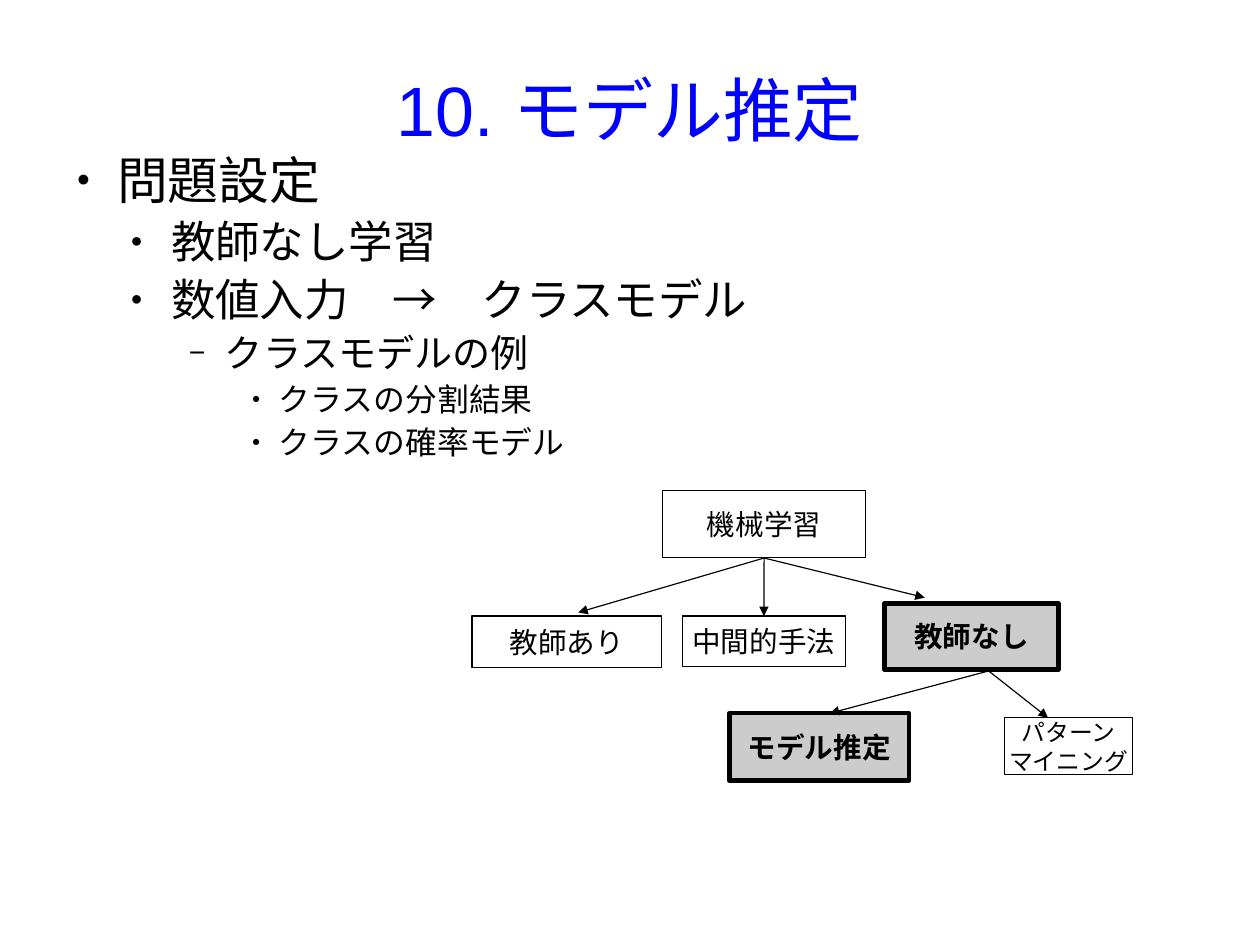
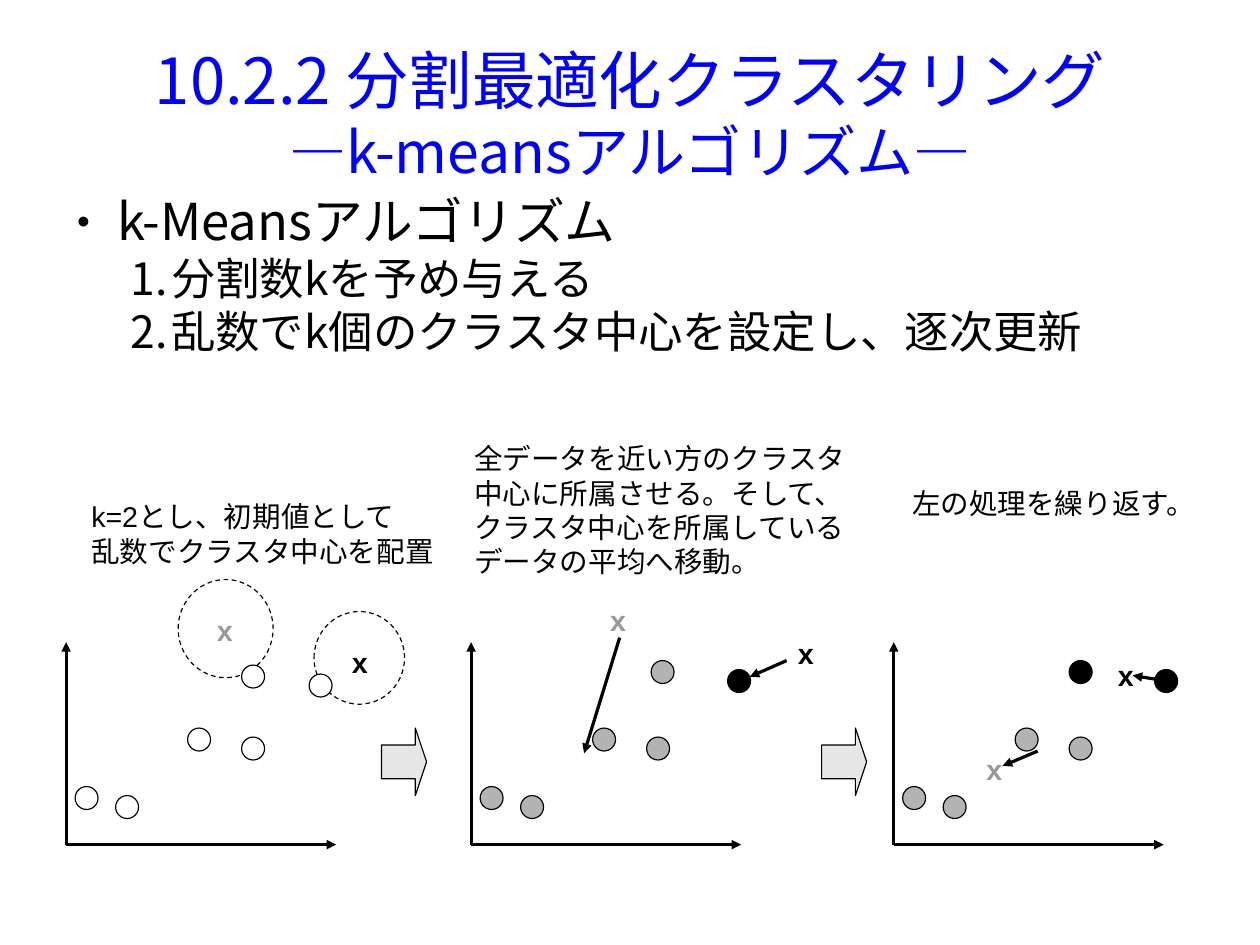
from lxml.etree import SubElement
from pptx import Presentation
from pptx.dml.color import RGBColor
from pptx.enum.dml import MSO_LINE
from pptx.enum.shapes import MSO_CONNECTOR, MSO_SHAPE
from pptx.enum.text import MSO_ANCHOR, MSO_AUTO_SIZE, PP_ALIGN
from pptx.oxml.ns import qn
from pptx.util import Cm, Pt

BLACK, WHITE, BLUE = "000000", "FFFFFF", "0000FF"
HIGHLIGHT, CLUSTER, STEP, MARK = "CCCCCC", "B3B3B3", "E6E6E6", "999999"
LATIN, JAPANESE = "Arial", "Noto Sans CJK JP"
color = RGBColor.from_string


def write(paragraph, text, size, tint=BLACK, font=LATIN, bold=False):
    run = paragraph.add_run()
    run.text = text
    run.font.size = Pt(size)
    run.font.bold = bold
    run.font.color.rgb = color(tint)
    run.font.name = font
    SubElement(run.font._element, qn("a:ea"), typeface=JAPANESE)


def draw_arrow(slide, start, end, width):
    arrow = slide.shapes.add_connector(
        MSO_CONNECTOR.STRAIGHT, *[Cm(n) for n in (*start, *end)])
    arrow.line.color.rgb = color(BLACK)
    arrow.line.width = Pt(width)
    SubElement(arrow.line._get_or_add_ln(), qn("a:tailEnd"), type="triangle")
    SubElement(arrow._element.spPr, qn("a:effectLst"))
    return arrow


deck = Presentation()
deck.slide_width, deck.slide_height = Cm(28), Cm(21)

levels = [
    (32, 1.2, -0.9, "●", 45),
    (28, 2.4, -0.9, "●", 45),
    (24, 3.6, -0.8, "−", 75),
    (20, 4.8, -0.6, "●", 45),
]
outlines = [
    {
        "title": [("10. モデル推定", 44)],
        "title_box": (1.4, 1, 25.2, 2.84),
        "title_spacing": None,
        "body": [
            (0, "問題設定"),
            (1, "教師なし学習"),
            (1, "数値入力　→　クラスモデル"),
            (2, "クラスモデルの例"),
            (3, "クラスの分割結果"),
            (3, "クラスの確率モデル"),
        ],
        "body_box": (1.4, 3.3, 25.2, 12.2),
        "font": LATIN,
        "gap": 2.8,
        "numbered": False,
    },
    {
        "title": [("10.2.2 分割最適化クラスタリング", 40), ("―k-meansアルゴリズム―", 36)],
        "title_box": (1.4, 0.48, 25.2, 4.24),
        "title_spacing": Pt(42.5),
        "body": [
            (0, "k-Meansアルゴリズム"),
            (1, "分割数kを予め与える"),
            (1, "乱数でk個のクラスタ中心を設定し、逐次更新"),
        ],
        "body_box": (1.4, 4.22, 24.4, 12.2),
        "font": JAPANESE,
        "gap": 0,
        "numbered": True,
    },
]

for outline in outlines:
    slide = deck.slides.add_slide(deck.slide_layouts[1])
    title, body = slide.shapes.title, slide.placeholders[1]
    for holder, box, anchor in (
        (title, outline["title_box"], MSO_ANCHOR.MIDDLE),
        (body, outline["body_box"], MSO_ANCHOR.TOP),
    ):
        holder.left, holder.top, holder.width, holder.height = [Cm(n) for n in box]
        frame = holder.text_frame
        frame.auto_size = MSO_AUTO_SIZE.NONE
        frame.vertical_anchor = anchor
        frame.margin_left = frame.margin_right = frame.margin_top = frame.margin_bottom = 0

    heading = title.text_frame.paragraphs[0]
    heading.alignment = PP_ALIGN.CENTER
    heading.line_spacing = outline["title_spacing"]
    for index, (text, size) in enumerate(outline["title"]):
        if index:
            heading.add_line_break()
        write(heading, text, size, BLUE, outline["font"])

    for index, (level, text) in enumerate(outline["body"]):
        frame = body.text_frame
        item = frame.add_paragraph() if index else frame.paragraphs[0]
        size, margin, indent, bullet, bullet_size = levels[level]
        item.level = level
        item.space_before = Pt(0)
        item.space_after = Pt(outline["gap"])
        properties = item._p.get_or_add_pPr()
        properties.set("marL", str(Cm(margin)))
        properties.set("indent", str(Cm(indent)))
        SubElement(SubElement(properties, qn("a:buClr")), qn("a:srgbClr"), val=BLACK)
        if outline["numbered"] and level == 1:
            SubElement(properties, qn("a:buAutoNum"), type="arabicPeriod")
        else:
            SubElement(properties, qn("a:buSzPct"), val=str(bullet_size * 1000))
            SubElement(properties, qn("a:buChar"), char=bullet)
        write(item, text, size, BLACK, outline["font"])

overview, kmeans = deck.slides

topics = [
    (["機械学習"], 14.73, 10.9, 4.5, 1.5, 18, False),
    (["教師なし"], 19.66, 13.41, 3.86, 1.47, 18, True),
    (["教師あり"], 10.49, 13.69, 4.22, 1.14, 18, False),
    (["中間的手法"], 15.16, 13.69, 3.63, 1.12, 18, False),
    (["モデル推定"], 16.21, 15.85, 3.99, 1.5, 18, True),
    (["パターン", "マイニング"], 22.33, 15.95, 2.84, 1.27, 15, False),
]
topic_boxes = {}
for lines, left, top, width, height, size, current in topics:
    topic = overview.shapes.add_shape(
        MSO_SHAPE.RECTANGLE, Cm(left), Cm(top), Cm(width), Cm(height))
    topic.shadow.inherit = False
    topic.fill.solid()
    topic.fill.fore_color.rgb = color(HIGHLIGHT if current else WHITE)
    topic.line.color.rgb = color(BLACK)
    topic.line.width = Pt(2.83 if current else 0)
    frame = topic.text_frame
    frame.word_wrap = False
    frame.vertical_anchor = MSO_ANCHOR.MIDDLE
    for index, text in enumerate(lines):
        label = frame.add_paragraph() if index else frame.paragraphs[0]
        label.alignment = PP_ALIGN.CENTER
        write(label, text, size, BLACK, JAPANESE, current)
    topic_boxes[lines[0]] = topic

root_exit, unsupervised_exit = (16.98, 12.4), (21.97, 14.91)
for branch_end in [(12.85, 13.61), (16.98, 13.69), (20.55, 13.28)]:
    branch = draw_arrow(overview, root_exit, branch_end, 0.75)
    branch.begin_connect(topic_boxes["機械学習"], 2)
    if branch_end[0] == root_exit[0]:
        branch.end_connect(topic_boxes["中間的手法"], 0)
for branch_end in [(23.29, 15.95), (18.44, 15.85)]:
    draw_arrow(overview, unsupervised_exit, branch_end, 0.75)

axis_y, axis_width, axis_height, dot = 18.77, 6, 4.5, 0.51
lower_points = [(1.1, 17.68), (0.2, 17.48), (2.7, 16.18), (3.9, 16.38)]
plots = [
    (1.47, WHITE, [(3.9, 14.78, WHITE), (5.4, 14.98, WHITE)]),
    (10.47, CLUSTER, [(4, 14.68, CLUSTER), (5.7, 14.88, BLACK)]),
    (19.86, CLUSTER, [(3.9, 14.68, BLACK), (5.8, 14.88, BLACK)]),
]
figures = [
    (MSO_SHAPE.OVAL, 3.96, 12.88, 2.11, 2.18, None),
    (MSO_SHAPE.OVAL, 6.98, 13.59, 2.01, 2.06, None),
    (MSO_SHAPE.RIGHT_ARROW, 8.48, 16.18, 1, 1.5, STEP),
    (MSO_SHAPE.RIGHT_ARROW, 18.26, 16.18, 1, 1.5, STEP),
]
for origin, lower_fill, upper_points in plots:
    for axis_end in [(origin + axis_width, axis_y), (origin, axis_y - axis_height)]:
        draw_arrow(kmeans, (origin, axis_y), axis_end, 0)
    for x, y, fill in [(*point, lower_fill) for point in lower_points] + upper_points:
        figures.append((MSO_SHAPE.OVAL, origin + x, y, dot, dot, fill))

for preset, left, top, width, height, fill in figures:
    figure = kmeans.shapes.add_shape(preset, Cm(left), Cm(top), Cm(width), Cm(height))
    figure.shadow.inherit = False
    figure.line.color.rgb = color(BLACK)
    figure.line.width = Pt(0)
    if fill:
        figure.fill.solid()
        figure.fill.fore_color.rgb = color(fill)
    else:
        figure.fill.background()
        figure.line.dash_style = MSO_LINE.DASH
    if preset == MSO_SHAPE.RIGHT_ARROW:
        figure.adjustments[1] = 0.25

notes = [
    (["x"], 4.57, 13.49, 1, 1, MARK, True),
    (["x"], 7.57, 14.2, 1, 1, BLACK, True),
    (["x"], 13.31, 13.28, 1, 1, MARK, True),
    (["x"], 17.48, 14, 1, 1, BLACK, True),
    (["x"], 21.67, 16.59, 1, 1, MARK, True),
    (["x"], 24.59, 14.5, 1, 1, BLACK, True),
    (["k=2とし、初期値として", "乱数でクラスタ中心を配置"],
     1.78, 10.97, 8.4, 2.16, BLACK, False),
    (["全データを近い方のクラスタ", "中心に所属させる。そして、",
      "クラスタ中心を所属している", "データの平均へ移動。"],
     10.29, 9.68, 9, 4.06, BLACK, False),
    (["左の処理を繰り返す。"], 20.02, 10.67, 7.2, 1.2, BLACK, False),
]
for lines, left, top, width, height, tint, bold in notes:
    frame = kmeans.shapes.add_textbox(
        Cm(left), Cm(top), Cm(width), Cm(height)).text_frame
    frame.word_wrap = True
    for index, text in enumerate(lines):
        line = frame.add_paragraph() if index else frame.paragraphs[0]
        write(line, text, 18, tint, LATIN, bold)

center_moves = [
    ((17.48, 14.68), (16.66, 15.04)),
    ((13.77, 14.17), (12.98, 16.74)),
    ((25.96, 15.14), (25.17, 15.01)),
    ((23.06, 16.69), (22.28, 17.02)),
]
for start, end in center_moves:
    draw_arrow(kmeans, start, end, 0)

deck.save("out.pptx")
